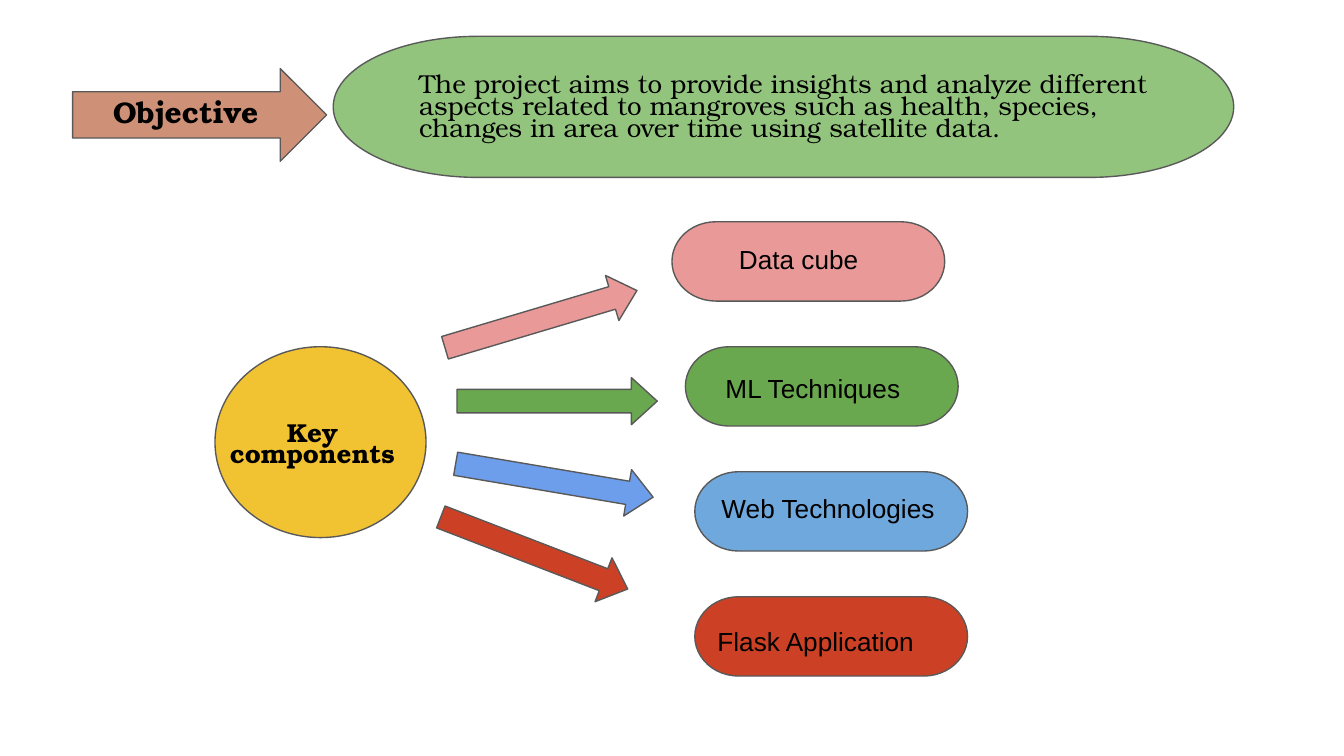
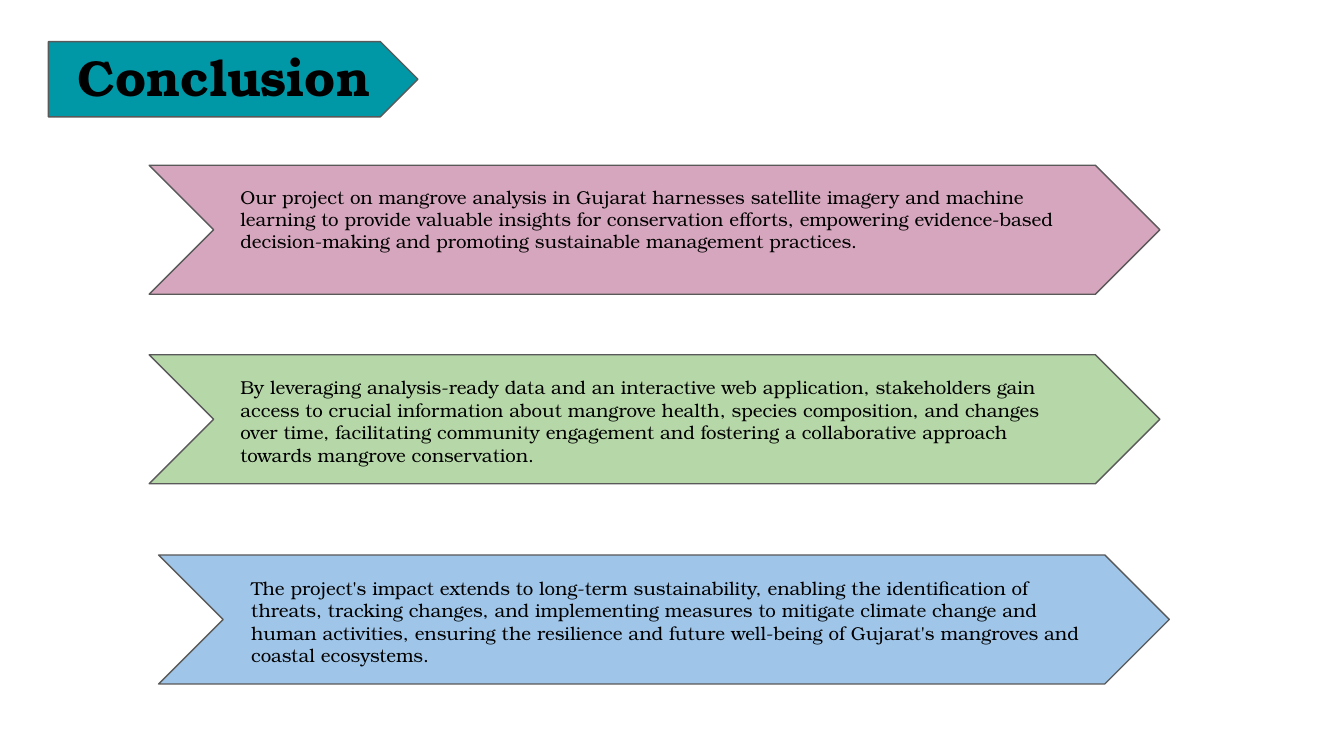
from pptx import Presentation
from pptx.dml.color import RGBColor
from pptx.enum.shapes import MSO_SHAPE as Kind
from pptx.enum.text import MSO_ANCHOR as Anchor, MSO_AUTO_SIZE as Fit, PP_ALIGN as Align
from pptx.util import Inches, Pt

SERIF = "TeX Gyre Bonum"
SANS = "Arial"
INK = "000000"
EDGE = "595959"

AIM = ("The project aims to provide insights and analyze different aspects "
       "related to mangroves such as health, species, changes in area over "
       "time using satellite data.")

PARTS = [
    ("Data cube", (5, 1.65), "EA9999", (5.4, 1.71), (3.28, 2.2), "EA9999", -16.6),
    ("ML Techniques", (5.1, 2.58), "6AA84F", (5.3, 2.67), (3.4, 2.81), "6AA84F", 0),
    ("Web Technologies", (5.17, 3.51), "6FA8DC", (5.27, 3.56), (3.38, 3.4), "6D9EEB", 9.6),
    ("Flask Application", (5.17, 4.44), "CC4125", (5.24, 4.55), (3.23, 3.94), "CC4125", 21.1),
]

POINTS = [
    (1.11, 1.23, 1.69, 1.28, "D5A6BD",
     "Our project on mangrove analysis in Gujarat harnesses satellite imagery "
     "and machine learning to provide valuable insights for conservation "
     "efforts, empowering evidence-based decision-making and promoting "
     "sustainable management practices."),
    (1.11, 2.64, 1.69, 2.7, "B6D7A8",
     "By leveraging analysis-ready data and an interactive web application, "
     "stakeholders gain access to crucial information about mangrove health, "
     "species composition, and changes over time, facilitating community "
     "engagement and fostering a collaborative approach towards mangrove "
     "conservation."),
    (1.18, 4.13, 1.77, 4.19, "9FC5E8",
     "The project's impact extends to long-term sustainability, enabling the "
     "identification of threats, tracking changes, and implementing measures "
     "to mitigate climate change and human activities, ensuring the resilience "
     "and future well-being of Gujarat's mangroves and coastal ecosystems."),
]


def color(code):
    return RGBColor.from_string(code)


def add_block(slide, kind, box, fill, turn=0, bends=()):
    shape = slide.shapes.add_shape(kind, *map(Inches, box))
    shape.shadow.inherit = False
    shape.fill.solid()
    shape.fill.fore_color.rgb = color(fill)
    shape.line.color.rgb = color(EDGE)
    shape.line.width = Pt(0.75)
    shape.rotation = turn
    for i, value in enumerate(bends):
        shape.adjustments[i] = value


def set_text(shape, text, size, face=SERIF, bold=False, align=Align.LEFT, lead=1.0):
    frame = shape.text_frame
    frame.text = text
    frame.word_wrap = True
    frame.auto_size = Fit.NONE
    frame.vertical_anchor = Anchor.TOP
    frame.margin_left = frame.margin_right = Inches(0.1)
    frame.margin_top = frame.margin_bottom = Inches(0.1)
    para = frame.paragraphs[0]
    para.alignment = align
    para.line_spacing = lead
    font = para.runs[0].font
    font.name = face
    font.size = Pt(size)
    font.bold = bold
    font.color.rgb = color(INK)


def add_text(slide, box, text, size, **style):
    set_text(slide.shapes.add_textbox(*map(Inches, box)), text, size, **style)


def add_title(slide, kind, band, fill, box, text, size):
    add_block(slide, kind, band, fill)
    title = slide.shapes.title
    title.left, title.top, title.width, title.height = map(Inches, box)
    set_text(title, text, size, bold=True)
    tree = title._element.getparent()
    tree.append(title._element)


def add_part(slide, name, pill, fill, label, arrow, tint, turn):
    add_block(slide, Kind.FLOWCHART_TERMINATOR, (*pill, 2.03, 0.59), fill)
    add_block(slide, Kind.RIGHT_ARROW, (*arrow, 1.49, 0.35), tint, turn, (0.5, 0.55))
    add_text(slide, (*label, 1.84, 0.35), name, 14, face=SANS)


def add_point(slide, left, top, text_left, text_top, fill, text):
    add_block(slide, Kind.CHEVRON, (left, top, 7.52, 0.96), fill)
    add_text(slide, (text_left, text_top, 6.42, 0.83), text, 10)


def draw_goal(slide):
    add_block(slide, Kind.FLOWCHART_TERMINATOR, (2.48, 0.27, 6.7, 1.05), "93C47D")
    add_text(slide, (3.02, 0.47, 5.68, 0.86), AIM, 13.9, lead=0.7)
    add_title(slide, Kind.RIGHT_ARROW, (0.54, 0.51, 1.89, 0.69), "CE9178",
              (0.74, 0.6, 1.57, 0.23), "Objective", 16)
    add_block(slide, Kind.OVAL, (1.6, 2.58, 1.57, 1.42), "F1C232")
    add_text(slide, (1.54, 3.06, 1.57, 0.45), "Key components", 13.9,
             bold=True, align=Align.CENTER, lead=0.7)
    for part in PARTS:
        add_part(slide, *part)


def draw_close(slide):
    add_title(slide, Kind.PENTAGON, (0.36, 0.31, 2.75, 0.56), "0097A7",
              (0.48, 0.24, 2.51, 0.3), "Conclusion", 27)
    for point in POINTS:
        add_point(slide, *point)


def main():
    deck = Presentation()
    deck.slide_width = Inches(10)
    deck.slide_height = Inches(5.625)
    for draw in (draw_goal, draw_close):
        draw(deck.slides.add_slide(deck.slide_layouts[5]))
    deck.save("out.pptx")


if __name__ == "__main__":
    main()
